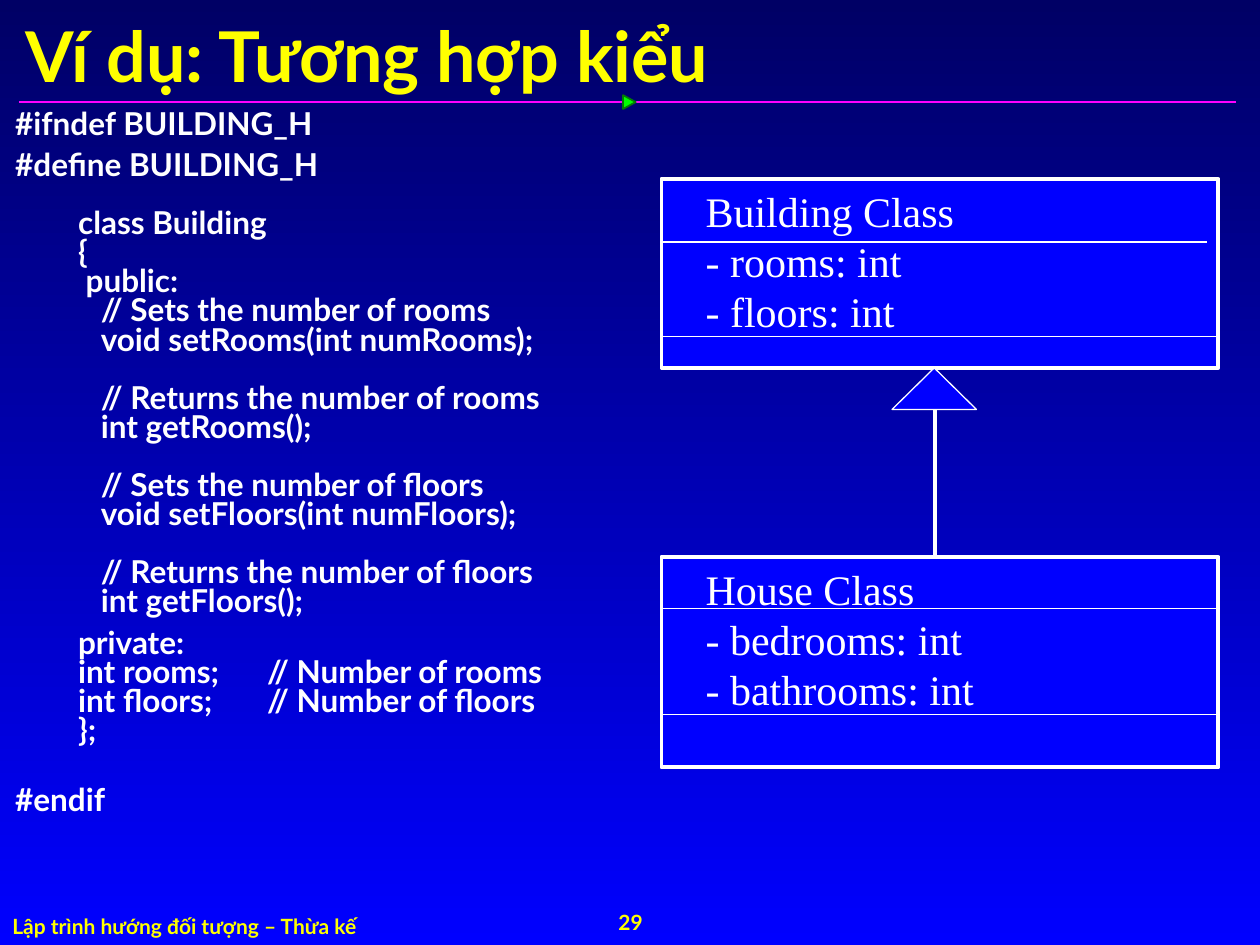
from lxml.etree import SubElement
from pptx import Presentation
from pptx.dml.color import RGBColor
from pptx.enum.shapes import MSO_CONNECTOR, MSO_SHAPE
from pptx.enum.text import MSO_ANCHOR, MSO_AUTO_SIZE, PP_ALIGN
from pptx.oxml.ns import qn
from pptx.util import Inches, Pt

COLORS = {
    "night": "000065",
    "blue": "0000FF",
    "white": "FFFFFF",
    "yellow": "FFFF00",
    "magenta": "FF01FF",
    "green": "00FF00",
    "dark green": "037C03",
}
GAP, BLANK_LINE = 6.8, 16.6
CODE = [
    (0, GAP, "#ifndef BUILDING_H"),
    (0, GAP, "#define BUILDING_H"),
    (0.5, BLANK_LINE, "class Building\v{"),
    (0.56, 0, "public:"),
    (0.68, 0, "// Sets the number of rooms\vvoid setRooms(int numRooms);"),
    (0.68, BLANK_LINE, "// Returns the number of rooms\vint getRooms();"),
    (0.68, BLANK_LINE, "// Sets the number of floors\vvoid setFloors(int numFloors);"),
    (0.68, BLANK_LINE, "// Returns the number of floors\vint getFloors();"),
    (0.5, GAP, "private:"),
    (0, 0, "\tint rooms;\t// Number of rooms", (0.68, 2.05)),
    (0, 0, "\tint floors;\t// Number of floors", (0.68, 1.94)),
    (0.5, 0, "};"),
    (0, GAP + BLANK_LINE, "#endif"),
]


class SlideBuilder:
    heading_font = "Lato"
    diagram_font = "Times New Roman"

    def __init__(self, slide):
        self.slide = slide

    def color(self, name):
        return RGBColor.from_string(COLORS[name])

    def background(self, top, bottom):
        fill = self.slide.background.fill
        fill.gradient()
        fill.gradient_angle = 270
        for stop, name in zip(fill.gradient_stops, (top, bottom)):
            stop.color.rgb = self.color(name)

    def place(self, holder, left, top, width, height):
        holder.left, holder.top = Inches(left), Inches(top)
        holder.width, holder.height = Inches(width), Inches(height)

    def format_text(self, paragraph, size, color, font=heading_font, bold=True):
        for run in paragraph.runs:
            run.font.size = Pt(size)
            run.font.name = font
            run.font.bold = bold
            run.font.color.rgb = self.color(color)

    def title(self, text, *box):
        heading = self.slide.shapes.title
        self.place(heading, *box)
        frame = heading.text_frame
        frame.text = text
        frame.auto_size = MSO_AUTO_SIZE.NONE
        frame.vertical_anchor = MSO_ANCHOR.MIDDLE
        frame.paragraphs[0].alignment = PP_ALIGN.LEFT
        self.format_text(frame.paragraphs[0], 40, "yellow")

    def code(self, lines, *box):
        listing = self.slide.placeholders[1]
        self.place(listing, *box)
        frame = listing.text_frame
        frame.auto_size = MSO_AUTO_SIZE.NONE
        frame.margin_left = frame.margin_right = Inches(0.12)
        frame.margin_top = frame.margin_bottom = Inches(0.06)
        frame.text = "\n".join(line[2] for line in lines)
        for paragraph, (indent, space, _, *stops) in zip(frame.paragraphs, lines):
            paragraph.line_spacing = 0.77
            paragraph.space_before = Pt(space)
            properties = paragraph._p.get_or_add_pPr()
            properties.set("marL", str(Inches(indent)))
            properties.set("indent", "0")
            SubElement(properties, qn("a:buNone"))
            if stops:
                tabs = SubElement(properties, qn("a:tabLst"))
                for stop in stops[0]:
                    SubElement(tabs, qn("a:tab"), pos=str(Inches(stop)), algn="l")
            self.format_text(paragraph, 18, "white")

    def label(self, text, align, *box):
        frame = self.slide.shapes.add_textbox(*map(Inches, box)).text_frame
        frame.word_wrap = True
        frame.text = text
        frame.paragraphs[0].alignment = align
        self.format_text(frame.paragraphs[0], 12, "yellow")

    def shape(self, kind, fill, line, weight, *box):
        shape = self.slide.shapes.add_shape(kind, *map(Inches, box))
        shape.shadow.inherit = False
        shape.fill.solid()
        shape.fill.fore_color.rgb = self.color(fill)
        shape.line.color.rgb = self.color(line)
        shape.line.width = Pt(weight)
        return shape

    def line(self, color, weight, *ends):
        line = self.slide.shapes.add_connector(
            MSO_CONNECTOR.STRAIGHT, *map(Inches, ends))
        line.line.color.rgb = self.color(color)
        line.line.width = Pt(weight)
        SubElement(line._element.spPr, qn("a:effectLst"))

    def class_box(self, rows, top, height, dividers):
        left, width = 5.25, 4.42
        box = self.shape(MSO_SHAPE.RECTANGLE, "blue", "white", 2.25,
                         left, top, width, height)
        frame = box.text_frame
        frame.margin_left = Inches(0.35)
        frame.vertical_anchor = MSO_ANCHOR.TOP
        frame.text = "\n".join(rows)
        for paragraph in frame.paragraphs:
            paragraph.alignment = PP_ALIGN.LEFT
            self.format_text(paragraph, 24, "white", self.diagram_font, False)
        for y, right in dividers:
            self.line("white", 0.75, left, y, right, y)


def main():
    deck = Presentation()
    deck.slide_width, deck.slide_height = Inches(10), Inches(7.5)
    builder = SlideBuilder(deck.slides.add_slide(deck.slide_layouts[1]))
    builder.background("night", "blue")

    builder.line("magenta", 1, 0.15, 0.81, 9.81, 0.81)
    marker = builder.shape(MSO_SHAPE.ISOSCELES_TRIANGLE, "green", "dark green", 1,
                           4.94, 0.76, 0.11, 0.1)
    marker.rotation = 90
    builder.label("Lập trình hướng đối tượng – Thừa kế", PP_ALIGN.LEFT,
                  0, 7.2, 5.1, 0.3)
    builder.label("29", PP_ALIGN.CENTER, 3.42, 7.17, 3.17, 0.32)

    builder.title("Ví dụ: Tương hợp kiểu", 0.1, 0.14, 9.84, 0.58)
    builder.code(CODE, 0, 0.83, 5.25, 6.17)

    builder.class_box(["Building Class", "- rooms: int", "- floors: int"],
                      1.42, 1.5, [(1.92, 9.58), (2.67, 9.67)])
    builder.class_box(["House Class", "- bedrooms: int", "- bathrooms: int"],
                      4.42, 1.67, [(4.83, 9.67), (5.67, 9.67)])
    builder.shape(MSO_SHAPE.ISOSCELES_TRIANGLE, "blue", "white", 0.75,
                  7.08, 2.92, 0.67, 0.33)
    builder.line("white", 2.25, 7.42, 4.42, 7.42, 3.25)

    deck.save("out.pptx")


if __name__ == "__main__":
    main()
